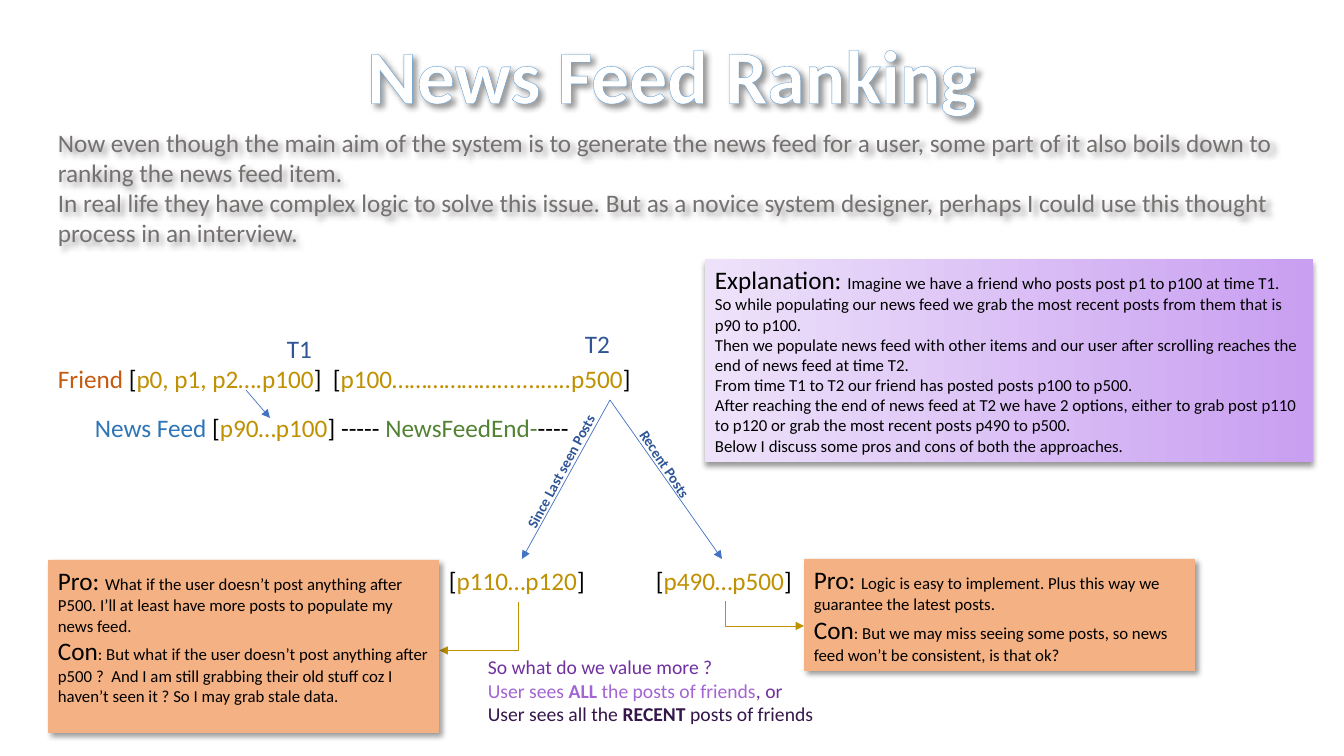
from pptx import Presentation
from pptx.dml.color import RGBColor
from pptx.enum.dml import MSO_PATTERN
from pptx.enum.shapes import MSO_CONNECTOR, MSO_SHAPE
from pptx.enum.text import MSO_ANCHOR, MSO_AUTO_SIZE, PP_ALIGN
from pptx.oxml import parse_xml
from pptx.oxml.ns import nsdecls, qn
from pptx.util import Pt

STRAIGHT, ELBOW = MSO_CONNECTOR.STRAIGHT, MSO_CONNECTOR.ELBOW
RECTANGLE = MSO_SHAPE.RECTANGLE
FIT, FIXED = MSO_AUTO_SIZE.SHAPE_TO_FIT_TEXT, MSO_AUTO_SIZE.NONE
TOP, LEFT, CENTER = MSO_ANCHOR.TOP, PP_ALIGN.LEFT, PP_ALIGN.CENTER
DIAGONAL = MSO_PATTERN.LIGHT_DOWNWARD_DIAGONAL

PIXEL = 914400 / 100.8
COLOURS = {name: RGBColor.from_string(value) for name, value in {
    "black": "000000", "white": "FFFFFF", "grey": "767171", "navy": "2F5597",
    "rust": "C55A11", "gold": "BF9000", "blue": "2E75B6", "green": "548235",
    "arrow": "4472C4", "outline": "5B9BD5", "hatch": "9DC3E6",
    "orange": "F4B183", "purple": "7030A0", "violet": "A365D1",
    "plum": "34164A", "lilac": "C99FF1", "pale": "EDE2FA",
}.items()}


def write(shape, lines, size, wrap=True, fit=FIT, align=LEFT):
    """Fill a shape with lines of (text, colour[, size[, bold]]) spans."""
    frame = shape.text_frame
    frame.word_wrap, frame.auto_size, frame.vertical_anchor = wrap, fit, TOP
    for index, spans in enumerate(lines):
        para = frame.paragraphs[0] if index == 0 else frame.add_paragraph()
        para.alignment = align
        para.font.name, para.font.size = "Calibri", Pt(size)
        for text, colour, *extra in spans:
            span = para.add_run()
            span.text = text
            span.font.color.rgb = COLOURS[colour]
            if extra:
                span.font.size = Pt(extra[0])
            if len(extra) > 1:
                span.font.bold = extra[1]


def cast_shadow(shape, angle):
    """Give a shape a soft black shadow that falls at an angle in degrees."""
    shape.shadow.inherit = False
    shape._element.spPr.find(qn("a:effectLst")).append(parse_xml(
        f'<a:outerShdw {nsdecls("a")} blurRad="{Pt(4)}" dist="{Pt(3)}" '
        f'dir="{angle * 60000}" algn="tl" rotWithShape="0">'
        '<a:srgbClr val="000000"><a:alpha val="40000"/></a:srgbClr></a:outerShdw>'))


deck = Presentation()
deck.slide_width, deck.slide_height = round(1344 * PIXEL), round(756 * PIXEL)
page = deck.slides.add_slide(deck.slide_layouts[6])

# Title and introduction
title = page.shapes.add_textbox(*(round(n * PIXEL) for n in (354, 23, 636, 102)))
write(title, [[("News Feed Ranking", "white", 54, True)]], 54, wrap=False, align=CENTER)
font = title.text_frame.paragraphs[0].runs[0].font
font.fill.patterned()
font.fill.pattern = DIAGONAL
font.fill.fore_color.rgb = COLOURS["hatch"]
font.fill.back_color.rgb = COLOURS["white"]
font._element.insert(0, parse_xml(
    f'<a:ln {nsdecls("a")} w="{Pt(1)}"><a:solidFill>'
    f'<a:srgbClr val="{COLOURS["outline"]}"/></a:solidFill></a:ln>'))
cast_shadow(title, 45)

intro = page.shapes.add_textbox(*(round(n * PIXEL) for n in (48, 122, 1248, 132)))
write(intro, [
    [("Now even though the main aim of the system is to generate the news feed for a user, "
      "some part of it also boils down to ranking the news feed item.", "grey")],
    [("In real life they have complex logic to solve this issue. But as a novice system "
      "designer, perhaps I could use this thought process in an interview.", "grey")],
], 18)
cast_shadow(intro, 45)

# Timeline, feed and branch labels: place, rotation, size, lines
later_posts = "p100" + "…" * 6 + "." * 7 + "…" + "..p500"
labels = [
    ((277, 328, 45, 40), 0, 18, [[("T1", "navy")]]),
    ((575, 323, 45, 40), 0, 18, [[("T2", "navy")]]),
    ((48, 358, 598, 40), 0, 18, [[
        ("Friend", "rust"), (" [", "black"), ("p0, p1, p2….p100", "gold"),
        ("]  [", "black"), (later_posts, "gold"), ("]", "black")]]),
    ((85, 407, 499, 40), 0, 18, [[
        ("News Feed ", "blue"), ("[", "black"), ("p90…p100", "gold"),
        ("] ----- ", "black"), ("NewsFeedEnd-", "green"), ("----", "black")]]),
    ((487, 456, 149, 28), 298.2, 10.5, [[("Since Last seen Posts", "navy", 10.5, True)]]),
    ((616, 451, 99, 28), 56.3, 10.5, [[("Recent Posts", "navy", 10.5, True)]]),
    ((439, 560, 157, 40), 0, 18, [[("[", "black"), ("p110…p120", "gold"), ("]", "black")]]),
    ((646, 560, 157, 40), 0, 18, [[("[", "black"), ("p490…p500", "gold"), ("]", "black")]]),
    ((478, 650, 348, 82), 0, 14, [
        [("So what do we value more ?", "purple")],
        [("User sees ", "violet"), ("ALL", "violet", 14, True),
         (" the posts of friends", "violet"), (", or", "purple")],
        [("User sees all the ", "plum"), ("RECENT", "plum", 14, True),
         (" posts of friends", "plum")]]),
]
for place, rotation, size, lines in labels:
    box = page.shapes.add_textbox(*(round(n * PIXEL) for n in place))
    box.rotation = rotation
    write(box, lines, size, wrap=False)

# Arrows: kind, ends before rotation, rotation, colour
arrows = [
    (STRAIGHT, (246, 390, 270, 418), 0, "arrow"),
    (STRAIGHT, (610, 400, 522, 559), 0, "arrow"),
    (STRAIGHT, (610, 400, 722, 559), 0, "arrow"),
    (ELBOW, (455, 587, 503, 666), 90, "gold"),
    (ELBOW, (777, 574, 752, 653), 270, "gold"),
]
for kind, ends, rotation, colour in arrows:
    arrow = page.shapes.add_connector(kind, *(round(n * PIXEL) for n in ends))
    arrow.line.color.rgb = COLOURS[colour]
    arrow.line.width = Pt(0.5)
    properties = arrow._element.spPr
    properties.find(qn("a:ln")).append(parse_xml(f'<a:tailEnd {nsdecls("a")} type="triangle"/>'))
    properties.append(parse_xml(f'<a:effectLst {nsdecls("a")}/>'))
    if kind == ELBOW:
        properties.find(qn("a:prstGeom")).set("prst", "bentConnector2")
        properties.find(qn("a:xfrm")).set("rot", str(rotation * 60000))

# Panels: place, fill, shadow angle, lines of (heading, body)
panels = [
    ((48, 560, 391, 173), "orange", 45, [
        ("Pro: ", "What if the user doesn’t post anything after P500. I’ll at least have "
                  "more posts to populate my news feed."),
        ("Con", ": But what if the user doesn’t post anything after p500 ?  And I am still "
                "grabbing their old stuff coz I haven’t seen it ? So I may grab stale data.")]),
    ((804, 559, 391, 112), "orange", 45, [
        ("Pro: ", "Logic is easy to implement. Plus this way we guarantee the latest posts."),
        ("Con", ": But we may miss seeing some posts, so news feed won’t be consistent, "
                "is that ok?")]),
    ((705, 259, 608, 203), "lilac", 90, [
        ("Explanation: ", "Imagine we have a friend who posts post p1 to p100 at time T1."),
        ("", "So while populating our news feed we grab the most recent posts from them "
             "that is p90 to p100."),
        ("", "Then we populate news feed with other items and our user after scrolling "
             "reaches the end of news feed at time T2."),
        ("", "From time T1 to T2 our friend has posted posts p100 to p500."),
        ("", "After reaching the end of news feed at T2 we have 2 options, either to grab "
             "post p110 to p120 or grab the most recent posts p490 to p500."),
        ("", "Below I discuss some pros and cons of both the approaches.")]),
]
for place, colour, angle, lines in panels:
    panel = page.shapes.add_shape(RECTANGLE, *(round(n * PIXEL) for n in place))
    panel.line.fill.background()
    if colour == "lilac":
        panel.fill.gradient()
        panel.fill.gradient_angle = 0
        for stop, shade in zip(panel.fill.gradient_stops, ("pale", "lilac")):
            stop.color.rgb = COLOURS[shade]
    else:
        panel.fill.solid()
        panel.fill.fore_color.rgb = COLOURS[colour]
    cast_shadow(panel, angle)
    write(panel, [[(text, "black", size) for text, size in ((heading, 18), (body, 12)) if text]
                  for heading, body in lines], 12, fit=FIXED)

deck.save("out.pptx")
